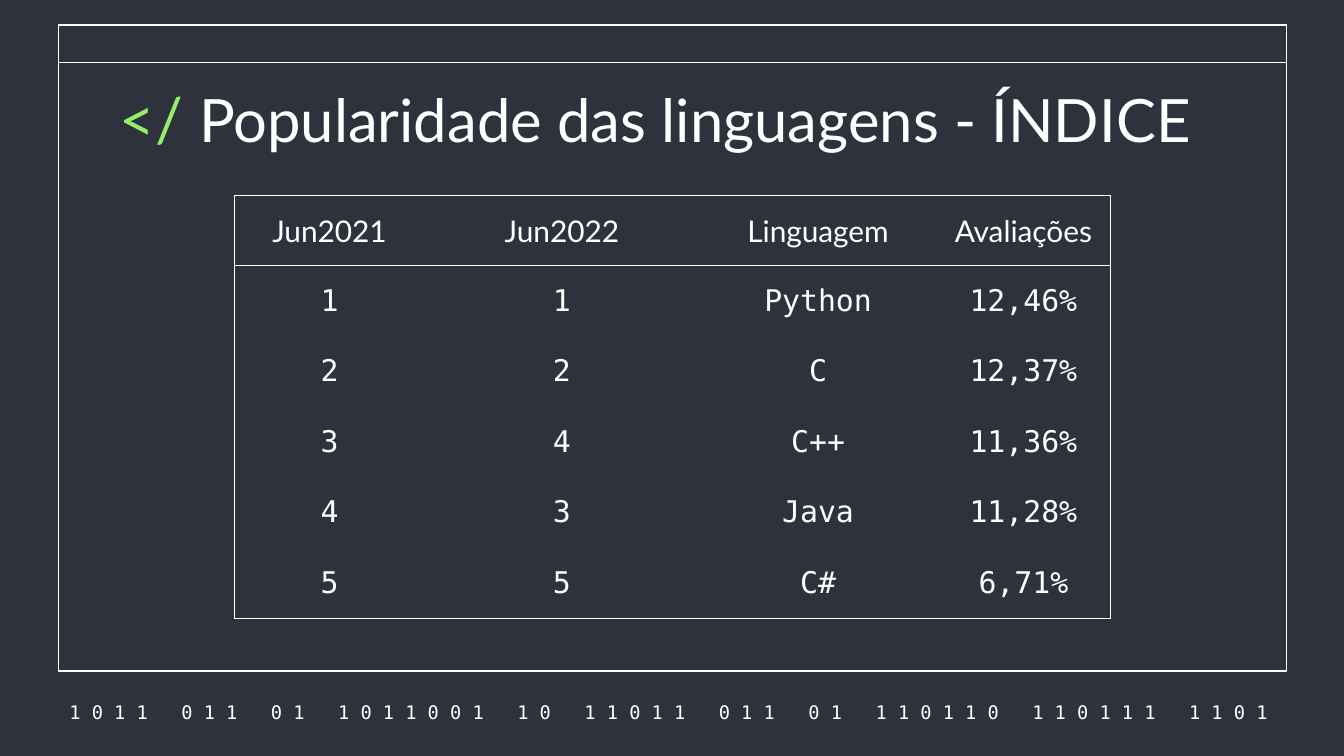
import pptx
import pptx.dml.color
import pptx.enum.shapes
import pptx.enum.text
import pptx.oxml
import pptx.oxml.ns
import pptx.util

Pt = pptx.util.Pt
RGBColor = pptx.dml.color.RGBColor
PP_ALIGN = pptx.enum.text.PP_ALIGN
MSO_ANCHOR = pptx.enum.text.MSO_ANCHOR

DARK = RGBColor(0x2D, 0x32, 0x3C)
WHITE = RGBColor(0xFF, 0xFF, 0xFF)
GREEN = RGBColor(0x94, 0xEE, 0x6B)
SANS = "Lato"
MONO = "DejaVu Sans Mono"
LINE_WIDTH = 0.75

BINARY = "1011 011 01 1011001 10 11011 011 01 110110 110111 1101"
COLUMN_WIDTHS = (101.5, 147.5, 127, 93)
RANKING = (
    ("Jun2021", "Jun2022", "Linguagem", "Avaliações"),
    ("1", "1", "Python", "12,46%"),
    ("2", "2", "C", "12,37%"),
    ("3", "4", "C++", "11,36%"),
    ("4", "3", "Java", "11,28%"),
    ("5", "5", "C#", "6,71%"),
)


def set_font(font, name, size, color=WHITE):
    font.name = name
    font.size = Pt(size)
    font.color.rgb = color


def set_margins(frame, margin):
    frame.margin_left = frame.margin_right = Pt(margin)
    frame.margin_top = frame.margin_bottom = Pt(margin)


def add_window(page, left, top, width, height, bar_height):
    """Outlined window with a title bar across its top."""
    for part_height in (height, bar_height):
        panel = page.shapes.add_shape(
            pptx.enum.shapes.MSO_SHAPE.RECTANGLE,
            Pt(left), Pt(top), Pt(width), Pt(part_height))
        panel.shadow.inherit = False
        panel.fill.solid()
        panel.fill.fore_color.rgb = DARK
        panel.line.color.rgb = WHITE
        panel.line.width = Pt(LINE_WIDTH)


def add_binary_strip(page, left, top, width, height):
    box = page.shapes.add_textbox(Pt(left), Pt(top), Pt(width), Pt(height))
    frame = box.text_frame
    frame.word_wrap = True
    frame.vertical_anchor = MSO_ANCHOR.MIDDLE
    set_margins(frame, 7.2)
    para = frame.paragraphs[0]
    para.alignment = PP_ALIGN.CENTER
    for index, group in enumerate(BINARY.split()):
        if index:
            gap = para.add_run()
            gap.text = " "
            # Letter spacing widens the gap between groups by 12 pt.
            gap.font._element.set("spc", "1200")
            set_font(gap.font, MONO, 10)
        digits = para.add_run()
        digits.text = " ".join(group)
        set_font(digits.font, MONO, 10)


def place_title(page, left, top, width, height):
    title = page.shapes.title
    title.element.getparent().append(title.element)  # in front of the window
    title.left, title.top = Pt(left), Pt(top)
    title.width, title.height = Pt(width), Pt(height)
    frame = title.text_frame
    frame.word_wrap = True
    frame.auto_size = pptx.enum.text.MSO_AUTO_SIZE.NONE
    frame.vertical_anchor = MSO_ANCHOR.TOP
    set_margins(frame, 7.2)
    para = frame.paragraphs[0]
    para.alignment = PP_ALIGN.LEFT
    for text, size, color in (
            ("</ ", 33, GREEN),
            ("Popularidade das linguagens - ÍNDICE", 32, WHITE)):
        span = para.add_run()
        span.text = text
        set_font(span.font, SANS, size, color)


def set_borders(cell, sides):
    """Draw the named sides (L, R, T, B) and clear the others."""
    properties = cell._tc.get_or_add_tcPr()
    for side in "LRTB":
        paint = (f'<a:solidFill><a:srgbClr val="{WHITE}"/></a:solidFill>'
                 if side in sides else "<a:noFill/>")
        properties.append(pptx.oxml.parse_xml(
            f'<a:ln{side} {pptx.oxml.ns.nsdecls("a")} w="{Pt(LINE_WIDTH)}">'
            f'{paint}</a:ln{side}>'))


def add_ranking(page, left, top, width, height):
    rows, columns = len(RANKING), len(COLUMN_WIDTHS)
    table = page.shapes.add_table(
        rows, columns, Pt(left), Pt(top), Pt(width), Pt(height)).table
    table.horz_banding = False
    for column, column_width in zip(table.columns, COLUMN_WIDTHS):
        column.width = Pt(column_width)
    for row_index, values in enumerate(RANKING):
        table.rows[row_index].height = Pt(height / rows)
        for column_index, value in enumerate(values):
            cell = table.cell(row_index, column_index)
            sides = ""
            if column_index == 0:
                sides += "L"
            if column_index == columns - 1:
                sides += "R"
            if row_index in (0, 1):
                sides += "T"
            if row_index in (0, rows - 1):
                sides += "B"
            set_borders(cell, sides)
            cell.fill.background()
            set_margins(cell, 3.6)
            cell.vertical_anchor = MSO_ANCHOR.MIDDLE
            cell.text = value
            para = cell.text_frame.paragraphs[0]
            para.alignment = PP_ALIGN.CENTER
            para.font.bold = False
            set_font(para.font, MONO if row_index else SANS, 16)


def main():
    deck = pptx.Presentation()
    deck.slide_width, deck.slide_height = Pt(720), Pt(405)
    page = deck.slides.add_slide(deck.slide_layouts[5])
    page.background.fill.solid()
    page.background.fill.fore_color.rgb = DARK
    add_window(page, 31.2, 13.4, 658.2, 346.2, bar_height=20)
    add_binary_strip(page, 24.4, 374.4, 667.4, 14.4)
    place_title(page, 57, 36, 607, 45.4)
    add_ranking(page, 125.8, 104.6, sum(COLUMN_WIDTHS), 226.8)
    deck.save("out.pptx")


if __name__ == "__main__":
    main()
